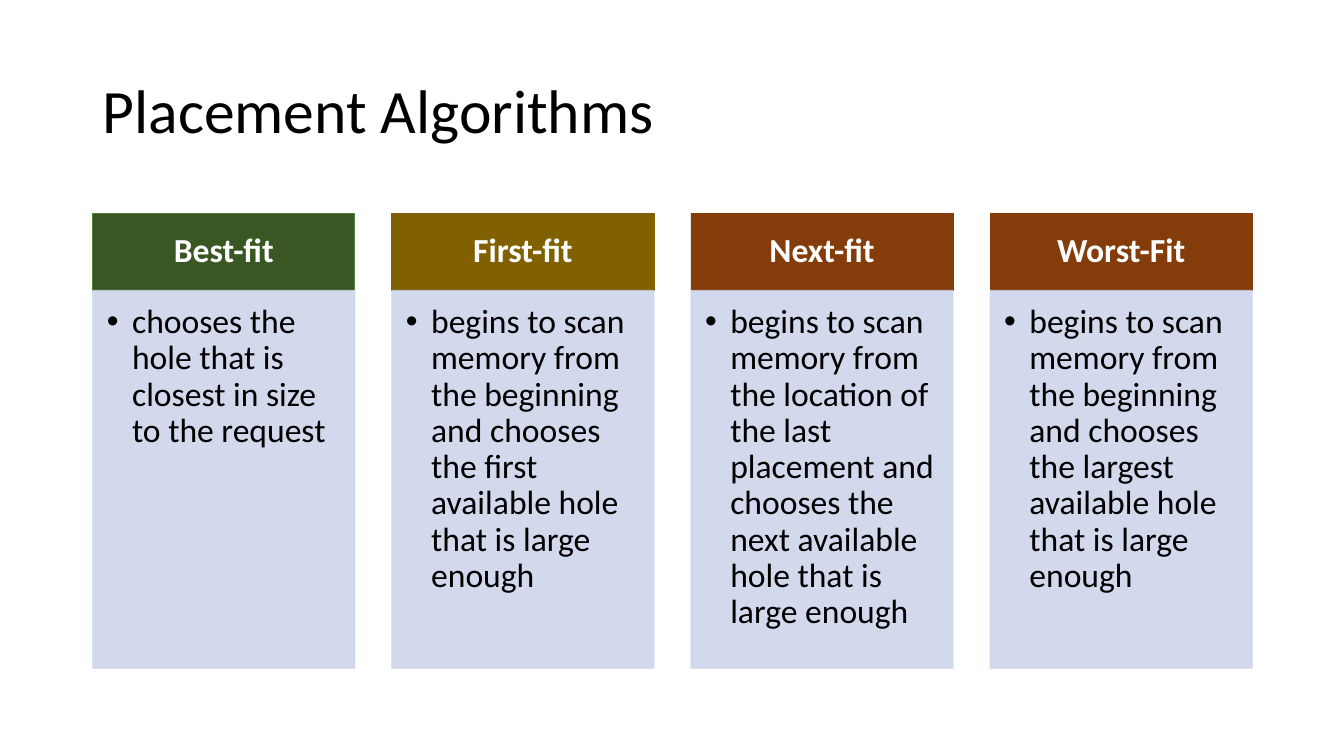
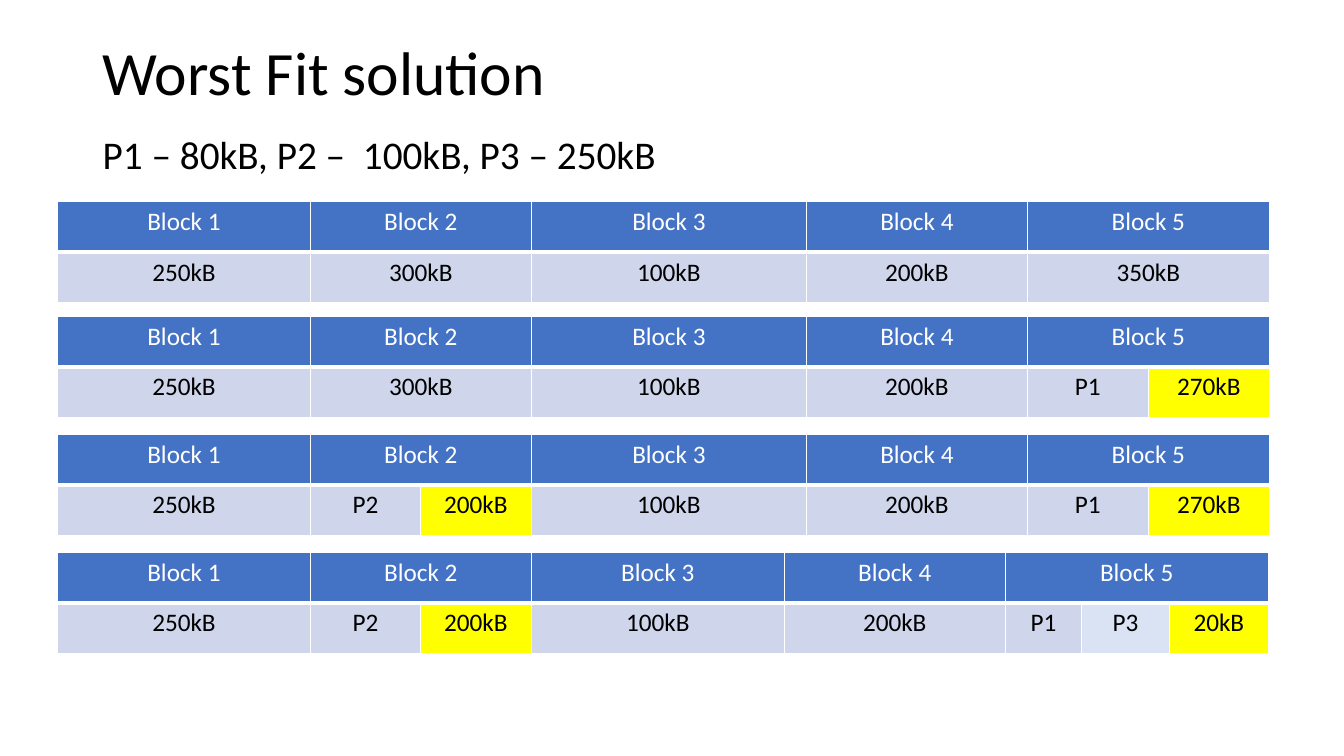
from lxml import etree
from pptx import Presentation
from pptx.dml import color
from pptx.enum import shapes, text
from pptx.oxml import ns
from pptx.util import Inches, Pt

FONT = "Calibri"
COLOURS = {
    "black": "000000",
    "white": "FFFFFF",
    "green": "385723",
    "green edge": "548235",
    "olive": "806000",
    "brown": "843C0B",
    "blue": "4472C4",
    "pale": "CFD5EA",
    "light blue": "DAE3F3",
    "yellow": "FFFF00",
}
MARGIN, CONTENT_WIDTH = 0.92, 11.5

ALGORITHMS = [
    ("Best-fit", "green", "green edge",
     "chooses the hole that is closest in size to the request"),
    ("First-fit", "olive", "olive",
     "begins to scan memory from the beginning and chooses the first "
     "available hole that is large enough"),
    ("Next-fit", "brown", "brown",
     "begins to scan memory from the location of the last placement and "
     "chooses the next available hole that is large enough"),
    ("Worst-Fit", "brown", "brown",
     "begins to scan memory from the beginning and chooses the largest "
     "available hole that is large enough"),
]

# Each block is a list of parts: (text, width, colour).
BLOCK_1 = [("250kB", 2.51, "pale")]
BLOCK_2 = [("300kB", 2.19, "pale")]
BLOCK_2_USED = [("P2", 1.09, "pale"), ("200kB", 1.1, "yellow")]
BLOCK_3 = [("100kB", 2.73, "pale")]
BLOCK_4 = [("200kB", 2.19, "pale")]
BLOCK_5 = [("350kB", 2.4, "pale")]
BLOCK_5_USED = [("P1", 1.2, "pale"), ("270kB", 1.2, "yellow")]
MEMORY_STATES = [
    (2, [BLOCK_1, BLOCK_2, BLOCK_3, BLOCK_4, BLOCK_5]),
    (3.14, [BLOCK_1, BLOCK_2, BLOCK_3, BLOCK_4, BLOCK_5_USED]),
    (4.31, [BLOCK_1, BLOCK_2_USED, BLOCK_3, BLOCK_4, BLOCK_5_USED]),
    (5.48, [BLOCK_1, BLOCK_2_USED, [("100kB", 2.51, "pale")], BLOCK_4,
            [("P1", 0.76, "pale"), ("P3", 0.87, "light blue"),
             ("20kB", 0.98, "yellow")]]),
]


def rgb(name):
    return color.RGBColor.from_string(COLOURS[name])


def add_child(parent, tag, **attributes):
    return etree.SubElement(parent, ns.qn(tag), attributes)


def write(frame, words, size=18, colour="black", bold=False, spacing=None,
          align=text.PP_ALIGN.LEFT, bullet_indent=None):
    para = frame.paragraphs[0]
    if bullet_indent:
        properties = para._p.get_or_add_pPr()
        properties.set("marL", str(Inches(bullet_indent)))
        properties.set("indent", str(-Inches(bullet_indent)))
        add_child(properties, "a:buFont", typeface="Arial")
        add_child(properties, "a:buChar", char="•")
    para.alignment = align
    if spacing:
        para.line_spacing = spacing
    span = para.add_run()
    span.text = words
    span.font.name = FONT
    span.font.size = Pt(size)
    span.font.bold = bold
    span.font.color.rgb = rgb(colour)


def set_frame(frame, anchor, insets):
    """Wrap the text; insets run left, top, right, bottom."""
    frame.word_wrap = True
    frame.vertical_anchor = anchor
    (frame.margin_left, frame.margin_top,
     frame.margin_right, frame.margin_bottom) = map(Inches, insets)


def add_line_of_text(page, words, top, height, size, anchor):
    box = page.shapes.add_textbox(Inches(MARGIN), Inches(top),
                                  Inches(CONTENT_WIDTH), Inches(height))
    set_frame(box.text_frame, anchor, (0.1, 0.05, 0.1, 0.05))
    write(box.text_frame, words, size=size, spacing=0.9)


def add_title(page, words, top):
    add_line_of_text(page, words, top, 1.45, 44, text.MSO_ANCHOR.MIDDLE)


def add_panel(page, left, top, width, height, fill, edge, opacity=100):
    panel = page.shapes.add_shape(
        shapes.MSO_SHAPE.RECTANGLE,
        Inches(left), Inches(top), Inches(width), Inches(height))
    panel.shadow.inherit = False
    panel.fill.solid()
    panel.fill.fore_color.rgb = rgb(fill)
    panel.line.color.rgb = rgb(edge)
    panel.line.width = Pt(0.5)
    if opacity < 100:
        for paint in panel._element.spPr.iter(ns.qn("a:srgbClr")):
            add_child(paint, "a:alpha", val=str(opacity * 1000))
    return panel.text_frame


def add_algorithm_card(page, left, top, width, height, algorithm):
    name, fill, edge, description = algorithm
    head_height = 0.76
    head = add_panel(page, left, top, width, head_height, fill, edge)
    set_frame(head, text.MSO_ANCHOR.MIDDLE, (0.19, 0.11, 0.19, 0.11))
    write(head, name, size=24, colour="white", bold=True, spacing=0.9,
          align=text.PP_ALIGN.CENTER)
    body = add_panel(page, left, top + head_height, width,
                     height - head_height, "pale", "pale", opacity=90)
    set_frame(body, text.MSO_ANCHOR.TOP, (0.14, 0.14, 0.19, 0.21))
    write(body, description, size=24, spacing=0.9, bullet_indent=0.25)


def fill_cell(cell, words, fill, colour, bottom_border=1):
    write(cell.text_frame, words, colour=colour, align=text.PP_ALIGN.CENTER)
    properties = cell._tc.get_or_add_tcPr()
    for side in "LRTB":
        weight = bottom_border if side == "B" else 1
        border = add_child(properties, f"a:ln{side}", w=str(Pt(weight)))
        paint = add_child(border, "a:solidFill")
        add_child(paint, "a:srgbClr", val=COLOURS["white"])
    cell.fill.solid()
    cell.fill.fore_color.rgb = rgb(fill)


def add_memory_table(page, left, top, blocks, row_height=0.5):
    """Draw one header per block above the parts the block is split into."""
    parts = [part for block in blocks for part in block]
    width = sum(part[1] for part in parts)
    table = page.shapes.add_table(
        2, len(parts), Inches(left), Inches(top),
        Inches(width), Inches(2 * row_height)).table
    table.first_row = table.horz_banding = False
    for column, (words, part_width, fill) in enumerate(parts):
        table.columns[column].width = Inches(part_width)
        fill_cell(table.cell(1, column), words, fill, "black")
    first = 0
    for number, block in enumerate(blocks, 1):
        header = table.cell(0, first)
        last = first + len(block) - 1
        if last > first:
            header.merge(table.cell(0, last))
        fill_cell(header, f"Block {number}", "blue", "white", bottom_border=3)
        first = last + 1


def build_algorithms_slide(page):
    add_title(page, "Placement Algorithms", 0.4)
    card_width = 2.6
    pitch = (CONTENT_WIDTH - card_width) / (len(ALGORITHMS) - 1)
    for index, algorithm in enumerate(ALGORITHMS):
        add_algorithm_card(page, MARGIN + index * pitch, 2.12,
                           card_width, 4.51, algorithm)


def build_worst_fit_slide(page):
    add_title(page, "Worst Fit solution", 0.02)
    add_line_of_text(page, "P1 – 80kB, P2 –  100kB, P3 – 250kB", 1.3, 0.6, 28,
                     text.MSO_ANCHOR.TOP)
    for top, blocks in MEMORY_STATES:
        add_memory_table(page, 0.57, top, blocks)


def main():
    deck = Presentation()
    deck.slide_width, deck.slide_height = Inches(13.33), Inches(7.5)
    blank = deck.slide_layouts[6]
    for build in (build_algorithms_slide, build_worst_fit_slide):
        build(deck.slides.add_slide(blank))
    deck.save("out.pptx")


if __name__ == "__main__":
    main()
